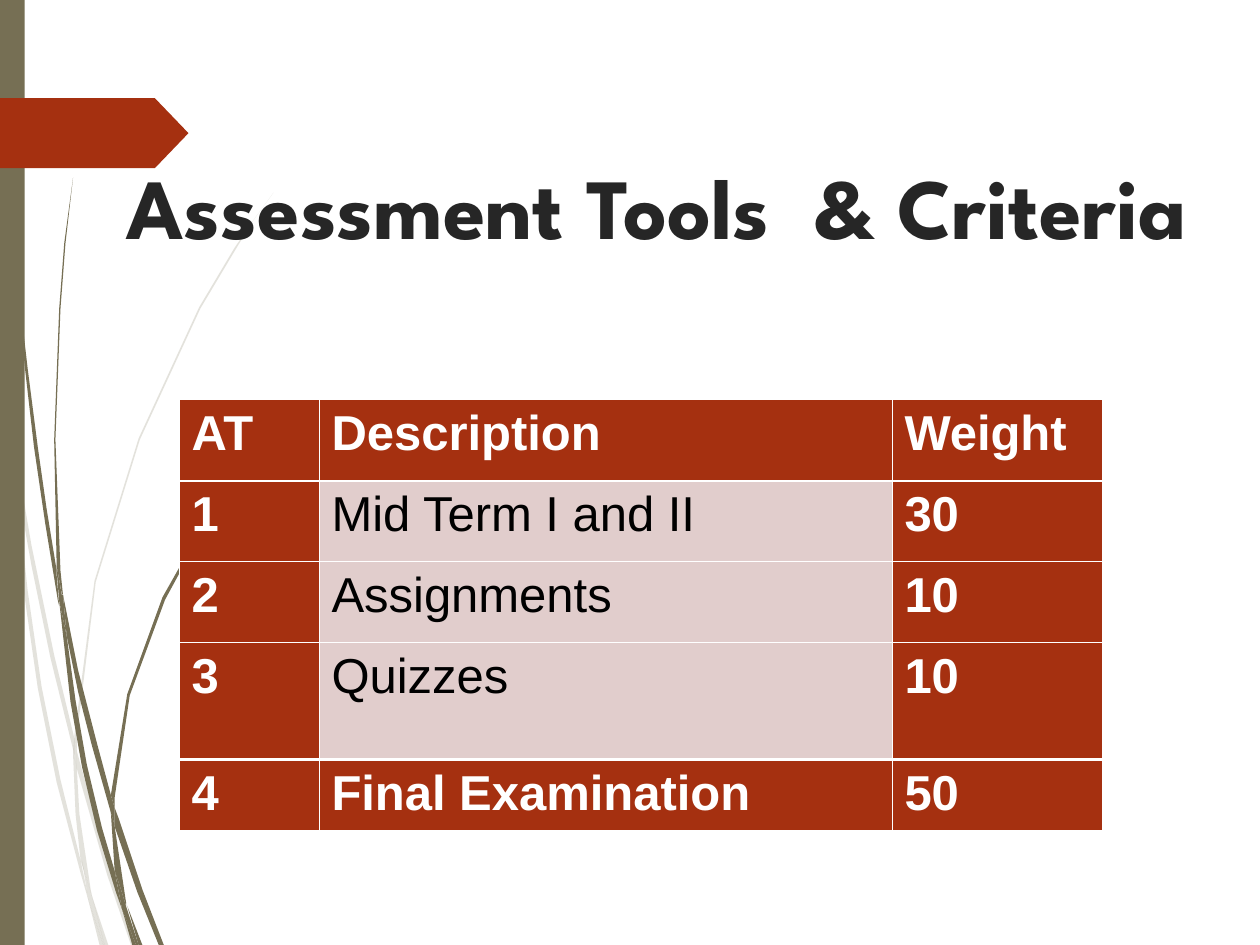
"""Build the assessment tools slide: wispy side decoration, title and weighting table."""
from dataclasses import dataclass

from lxml.etree import SubElement
from pptx import Presentation
from pptx.dml.color import RGBColor as Rgb
from pptx.enum.shapes import MSO_SHAPE as Preset
from pptx.enum.text import MSO_ANCHOR as Anchor, PP_ALIGN as Align
from pptx.oxml.ns import qn
from pptx.util import Cm, Pt

INCH = Cm(2.54)

PALE_WISPS = [
    [(.4, 5.22), (.59, 5.99), (.59, 5.86), (.43, 5.2), (.25, 4.33), (.1, 3.45), (.12, 3.76), (.25, 4.49)],
    [(.64, 6.07), (.61, 5.96), (.61, 6.1), (.85, 6.94), (1.04, 7.5), (1.08, 7.5), (.88, 6.92)],
    [(.83, 7.5), (.86, 7.5), (.73, 7.11)],
    [(.64, 6.83), (.48, 6.19), (.33, 5.45), (.22, 4.69), (.17, 4.22), (.12, 3.76), (.08, 3.5),
     (.12, 4.1), (.19, 4.7), (.3, 5.46), (.45, 6.21), (.64, 6.93), (.7, 7.14), (.69, 7.07)],
    [(.58, 5.99), (.6, 6.46), (.64, 6.83), (.67, 6.92), (.73, 7.11), (.72, 7.06), (.63, 6.46),
     (.61, 6.1), (.61, 6.08)],
    [(.61, 5.84), (.76, 4.62), (1.11, 3.49), (1.59, 2.45), (1.87, 1.98), (2.01, 1.75), (2.17, 1.53),
     (2.01, 1.75), (1.86, 1.97), (1.58, 2.44), (1.1, 3.48), (.75, 4.61), (.59, 5.84), (.59, 5.86),
     (.61, 5.96)],
    [(.7, 7.14), (.79, 7.5), (.82, 7.5)],
    [(.61, 6.08), (.61, 6.1), (.61, 5.96), (.59, 5.86), (.58, 5.99)],
    [(.67, 6.92), (.65, 6.83), (.69, 7.07), (.7, 7.14), (.82, 7.5), (.83, 7.5), (.73, 7.11)],
]
DARK_WISPS = [
    [(.05, 1.1), (.09, 1.72), (.14, 2.33), (.2, 2.94), (.27, 3.55), (.36, 4.16), (.46, 4.77),
     (.47, 4.81), (.45, 4.57), (.45, 4.53), (.37, 4.04), (.3, 3.55), (.22, 2.93), (.15, 2.32),
     (.1, 1.71), (.06, 1.09), (.04, .48), (.03, 0), (.02, 0), (.03, .48)],
    [(.73, 5.92), (.88, 6.45), (.88, 6.31), (.77, 5.9), (.62, 5.32), (.5, 4.72), (.53, 5.05), (.62, 5.49)],
    [(.94, 6.49), (.91, 6.41), (.91, 6.56), (1.09, 7.08), (1.26, 7.5), (1.3, 7.5), (1.13, 7.06)],
    [(.91, 6.91), (.81, 6.57), (.69, 6.07), (.6, 5.56), (.53, 5.05), (.47, 4.77), (.56, 5.57),
     (.65, 6.08), (.77, 6.59), (.92, 7.08), (.97, 7.22), (.96, 7.17)],
    [(.5, 4.72), (.48, 4.53), (.44, 3.49), (.48, 2.45), (.52, 1.93), (.58, 1.41), (.51, 1.93),
     (.47, 2.45), (.43, 3.49), (.45, 4.49), (.49, 4.71)],
    [(1.1, 7.5), (1.13, 7.5), (1.01, 7.19)],
    [(.47, 4.77), (.53, 5.05), (.5, 4.72), (.49, 4.72), (.45, 4.49), (.45, 4.53)],
    [(.91, 6.33), (1.03, 5.52), (1.31, 4.76), (1.69, 4.06), (1.91, 3.74), (2.03, 3.59), (2.16, 3.44),
     (2.03, 3.58), (1.91, 3.73), (1.68, 4.05), (1.29, 4.74), (1.01, 5.51), (.88, 6.31), (.91, 6.41)],
    [(.97, 7.22), (1.05, 7.5), (1.08, 7.5)],
    [(.88, 6.45), (.91, 6.91), (.96, 7.06), (1, 7.19), (1, 7.16), (.91, 6.56), (.9, 6.51)],
    [(.88, 6.45), (.9, 6.51), (.91, 6.56), (.91, 6.41), (.88, 6.31), (.88, 6.33)],
    [(.96, 7.06), (.91, 6.91), (.96, 7.17), (.97, 7.22), (1.08, 7.5), (1.1, 7.5), (1, 7.19)],
]
ASSESSMENTS = [
    ("AT", "Description", "Weight"),
    ("1", "Mid Term I and II", "30"),
    ("2", "Assignments", "10"),
    ("3", "Quizzes", "10"),
    ("4", "Final Examination", "50"),
]


@dataclass(frozen=True)
class Theme:
    """Colours, fonts and sizes of the slide."""
    olive: str = "766F54"
    rust: str = "A53010"
    blush: str = "E1CDCC"
    white: str = "FFFFFF"
    black: str = "000000"
    ink: str = "262626"
    title_font: str = "League Spartan"
    table_font: str = "Arial"
    title_size: float = 49
    table_size: float = 28
    thin: float = 0.45
    thick: float = 1.47


class SlideBuilder:
    """Draw themed elements on one slide."""

    def __init__(self, slide, theme):
        """Keep the slide and its style."""
        self.slide = slide
        self.theme = theme

    def paint(self, shape, color, opacity=100):
        """Fill a shape without outline or shadow."""
        shape.shadow.inherit = False
        shape.line.fill.background()
        shape.fill.solid()
        shape.fill.fore_color.rgb = Rgb.from_string(color)
        if opacity < 100:
            tint = next(shape.element.iter(qn("a:srgbClr")))
            SubElement(tint, qn("a:alpha"), val=str(opacity * 1000))

    def wisps(self, outlines, opacity=100):
        """Draw grass blades, outlined in inches, as one group."""
        blades = self.slide.shapes.add_group_shape().shapes
        for outline in outlines:
            corners = [(x * INCH, y * INCH) for x, y in outline]
            builder = blades.build_freeform(*corners[0])
            builder.add_line_segments(corners[1:])
            self.paint(builder.convert_to_shape(), self.theme.olive, opacity)

    def block(self, preset, top, width, height, color):
        """Add a preset shape attached to the left slide edge."""
        shape = self.slide.shapes.add_shape(preset, 0, Cm(top), Cm(width), Cm(height))
        self.paint(shape, color)
        return shape

    def style(self, paragraph, font, size, color, bold):
        """Format every run of a paragraph."""
        for run in paragraph.runs:
            run.font.name = font
            run.font.size = Pt(size)
            run.font.bold = bold
            run.font.color.rgb = Rgb.from_string(color)

    def title(self, wording, left, top, width, height):
        """Fill the title placeholder and bring it in front of the decoration."""
        heading = self.slide.shapes.title
        heading.left, heading.top, heading.width, heading.height = map(Cm, (left, top, width, height))
        frame = heading.text_frame
        frame.text = wording
        frame.word_wrap = True
        frame.vertical_anchor = Anchor.TOP
        paragraph = frame.paragraphs[0]
        paragraph.alignment = Align.CENTER
        self.style(paragraph, self.theme.title_font, self.theme.title_size, self.theme.ink, True)
        heading.element.getparent().append(heading.element)

    def borders(self, cell, top, bottom):
        """Draw white cell borders with the given horizontal weights."""
        weights = {"L": self.theme.thin, "R": self.theme.thin, "T": top, "B": bottom}
        properties = cell._tc.get_or_add_tcPr()
        for side, weight in weights.items():
            edge = SubElement(properties, qn(f"a:ln{side}"), w=str(Pt(weight)))
            fill = SubElement(edge, qn("a:solidFill"))
            SubElement(fill, qn("a:srgbClr"), val=self.theme.white)

    def table(self, rows, left, top, widths, heights, heavy_rules):
        """Add the table; heavy_rules are the row boundaries drawn thick."""
        theme = self.theme
        grid = self.slide.shapes.add_table(
            len(rows), len(widths), Cm(left), Cm(top), Cm(sum(widths)), Cm(sum(heights))).table
        for column, width in zip(grid.columns, widths):
            column.width = Cm(width)
        for row, height in zip(grid.rows, heights):
            row.height = Cm(height)
        for r, entries in enumerate(rows):
            rules = [theme.thick if edge in heavy_rules else theme.thin for edge in (r, r + 1)]
            for c, entry in enumerate(entries):
                plain = c == 1 and 0 < r < len(rows) - 1
                cell = grid.cell(r, c)
                self.borders(cell, *rules)
                cell.fill.solid()
                cell.fill.fore_color.rgb = Rgb.from_string(theme.blush if plain else theme.rust)
                cell.text_frame.text = entry
                paragraph = cell.text_frame.paragraphs[0]
                paragraph.space_after = Pt(2)
                self.style(paragraph, theme.table_font, theme.table_size,
                           theme.black if plain else theme.white, not plain)


def main():
    """Assemble and save the presentation."""
    deck = Presentation()
    deck.slide_width, deck.slide_height = Cm(25.4), Cm(19.05)
    theme = Theme()
    page = SlideBuilder(deck.slides.add_slide(deck.slide_layouts[5]), theme)
    page.wisps(PALE_WISPS, opacity=20)
    page.wisps(DARK_WISPS)
    page.block(Preset.RECTANGLE, 0, 0.5, 19.05, theme.olive)
    ribbon = page.block(Preset.PENTAGON, 1.98, 3.8, 1.41, theme.rust)
    ribbon.adjustments[0] = 0.48
    page.title("Assessment Tools  & Criteria", 1.7, 2.97, 23.06, 3.18)
    page.table(ASSESSMENTS, 3.61, 8.06, widths=[2.82, 11.55, 4.25],
               heights=[1.63, 1.63, 1.63, 2.36, 1.43], heavy_rules={1, 4})
    deck.save("out.pptx")


if __name__ == "__main__":
    main()
